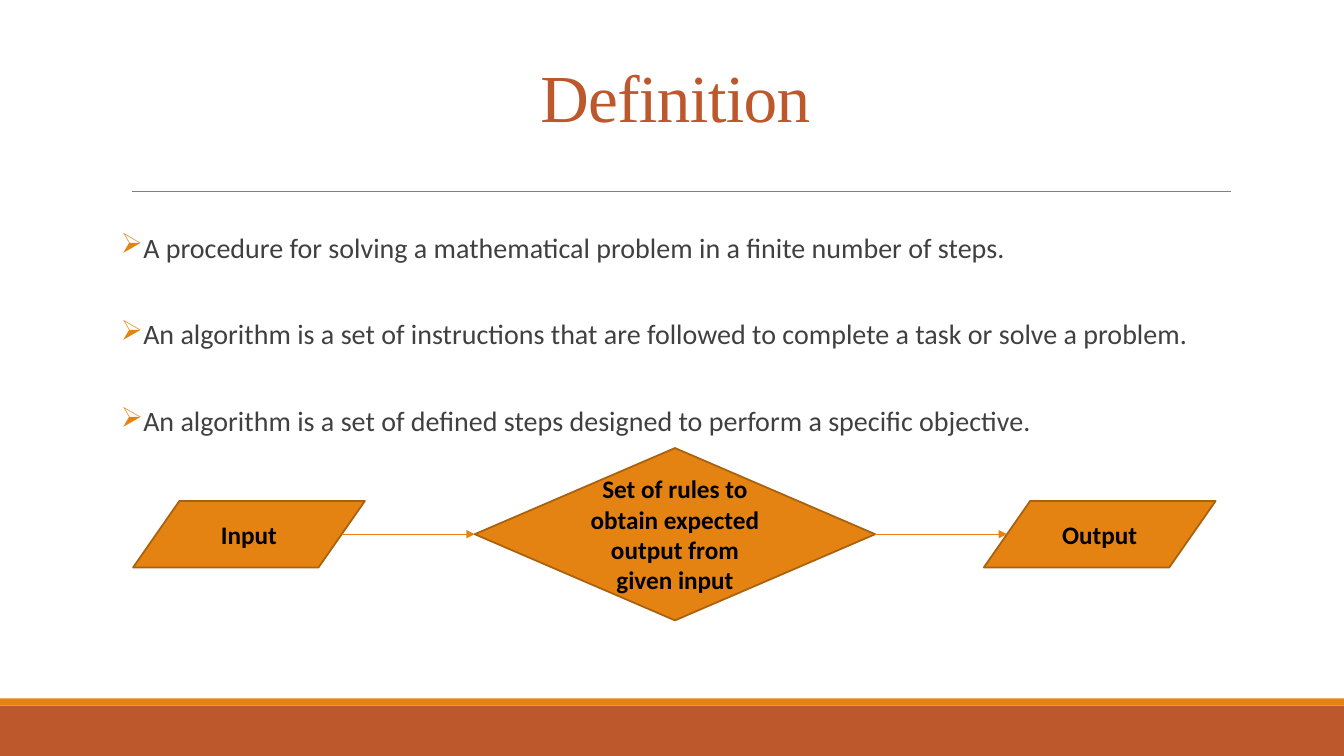
"""Builds the slide that defines an algorithm and shows its input-to-output flow."""
from pptx import Presentation
from pptx.dml.color import RGBColor
from pptx.enum.shapes import MSO_CONNECTOR as Connector, MSO_SHAPE as Shape
from pptx.enum.text import MSO_ANCHOR as Anchor, PP_ALIGN as Align
from pptx.oxml.ns import qn
from pptx.util import Inches, Pt
from lxml.etree import SubElement

WIDTH, HEIGHT = Inches(13.33), Inches(7.5)
COLUMNS, ROWS = 40, 30
RUST, ORANGE, BROWN = "BD582C", "E48312", "A9610D"
GREY, CHARCOAL, BLACK = "808080", "404040", "000000"
FLOW_ROW = 21.2
SLANT = 0.1
DEFINITIONS = (
    "A procedure for solving a mathematical problem in a finite number of steps.",
    "An algorithm is a set of instructions that are followed to complete a task or solve a problem.",
    "An algorithm is a set of defined steps designed to perform a specific objective.",
)


def color(value):
    """Turn a hex string into a colour."""
    return RGBColor.from_string(value)


def across(columns):
    """Turn grid columns into a length."""
    return round(WIDTH * columns / COLUMNS)


def down(rows):
    """Turn grid rows into a length."""
    return round(HEIGHT * rows / ROWS)


def place(left, top, width, height):
    """Turn a grid cell range into a position and size."""
    return across(left), down(top), across(width), down(height)


def style(span, font, size, tint, bold=False):
    """Set the font of a run."""
    span.font.name = font
    span.font.size = Pt(size)
    span.font.color.rgb = color(tint)
    span.font.bold = bold


def add_block(page, kind, area, fill, outline=None):
    """Add a filled shape, with an outline if one is given."""
    block = page.shapes.add_shape(kind, *place(*area))
    block.shadow.inherit = False
    block.fill.solid()
    block.fill.fore_color.rgb = color(fill)
    if outline:
        block.line.color.rgb = color(outline)
        block.line.width = Pt(1.25)
    else:
        block.line.fill.background()
    return block


def add_step(page, kind, left, width, height, label):
    """Add a labelled flow step centred on the flow row."""
    area = left, FLOW_ROW - height / 2, width, height
    step = add_block(page, kind, area, ORANGE, BROWN)
    frame = step.text_frame
    frame.text = label
    frame.word_wrap = True
    frame.vertical_anchor = Anchor.MIDDLE
    para = frame.paragraphs[0]
    para.alignment = Align.CENTER
    style(para.runs[0], "Calibri", 18, BLACK, bold=True)
    return step


def add_line(page, start, end, row, tint, weight, arrow=False):
    """Add a level line between two columns, with an arrowhead on request."""
    line = page.shapes.add_connector(
        Connector.STRAIGHT, across(start), down(row), across(end), down(row))
    line.line.color.rgb = color(tint)
    line.line.width = Pt(weight)
    if arrow:
        SubElement(line.line._get_or_add_ln(), qn("a:tailEnd"), type="triangle")
    SubElement(line._element.spPr, qn("a:effectLst"))
    return line


def add_title(page, text):
    """Add the centred slide title."""
    frame = page.shapes.add_textbox(*place(3.6, 2, 33, 3.6)).text_frame
    frame.text = text
    frame.word_wrap = True
    frame.vertical_anchor = Anchor.BOTTOM
    para = frame.paragraphs[0]
    para.alignment = Align.CENTER
    para.line_spacing = 0.85
    span = para.runs[0]
    style(span, "Times New Roman", 48, RUST)
    span.font._element.set("spc", "-50")


def add_bullet(para):
    """Give a paragraph a hanging arrow bullet."""
    properties = para._p.get_or_add_pPr()
    properties.set("marL", str(Inches(0.1)))
    properties.set("indent", str(-Inches(0.1)))
    tint = SubElement(properties, qn("a:buClr"))
    SubElement(tint, qn("a:srgbClr"), val=ORANGE)
    SubElement(properties, qn("a:buChar"), char="➢")


def add_definitions(page, lines):
    """Add the bulleted definitions."""
    frame = page.shapes.add_textbox(*place(3.6, 7.6, 34, 18.08)).text_frame
    frame.text = "\n".join(lines)
    frame.word_wrap = True
    frame.margin_left = frame.margin_right = 0
    for para in frame.paragraphs:
        para.alignment = Align.JUSTIFY
        para.line_spacing = 2.0
        para.space_before, para.space_after = Pt(12), Pt(2)
        add_bullet(para)
        style(para.runs[0], "Calibri", 20, CHARCOAL)


def add_flow(page):
    """Add the input, rules and output steps with their arrows."""
    side, rules_left, rules_width = 6.9, 14.13, 11.92
    input_left, output_left = 3.96, 29.28
    rules_right = rules_left + rules_width
    rules = add_step(page, Shape.DIAMOND, rules_left, rules_width, 6.84,
                     "Set of rules to obtain expected output from given input")
    for left, label in ((output_left, "Output"), (input_left, "Input")):
        add_step(page, Shape.FLOWCHART_DATA, left, side, 2.64, label)
    input_edge = input_left + side * (1 - SLANT)
    output_edge = output_left + side * SLANT
    arrow_in = add_line(page, input_edge, rules_left, FLOW_ROW, ORANGE, 1, arrow=True)
    arrow_in.end_connect(rules, 1)
    arrow_out = add_line(page, rules_right, output_edge, FLOW_ROW, ORANGE, 1, arrow=True)
    arrow_out.begin_connect(rules, 3)


def main():
    """Build and save the deck."""
    deck = Presentation()
    deck.slide_width, deck.slide_height = WIDTH, HEIGHT
    page = deck.slides.add_slide(deck.slide_layouts[6])
    add_block(page, Shape.RECTANGLE, (0, 28, COLUMNS, 2), RUST)
    add_block(page, Shape.RECTANGLE, (0, 27.72, COLUMNS, 0.28), ORANGE)
    add_line(page, 3.93, 36.63, 7.6, GREY, 0.5)
    add_title(page, "Definition")
    add_definitions(page, DEFINITIONS)
    add_flow(page)
    deck.save("out.pptx")


if __name__ == "__main__":
    main()
